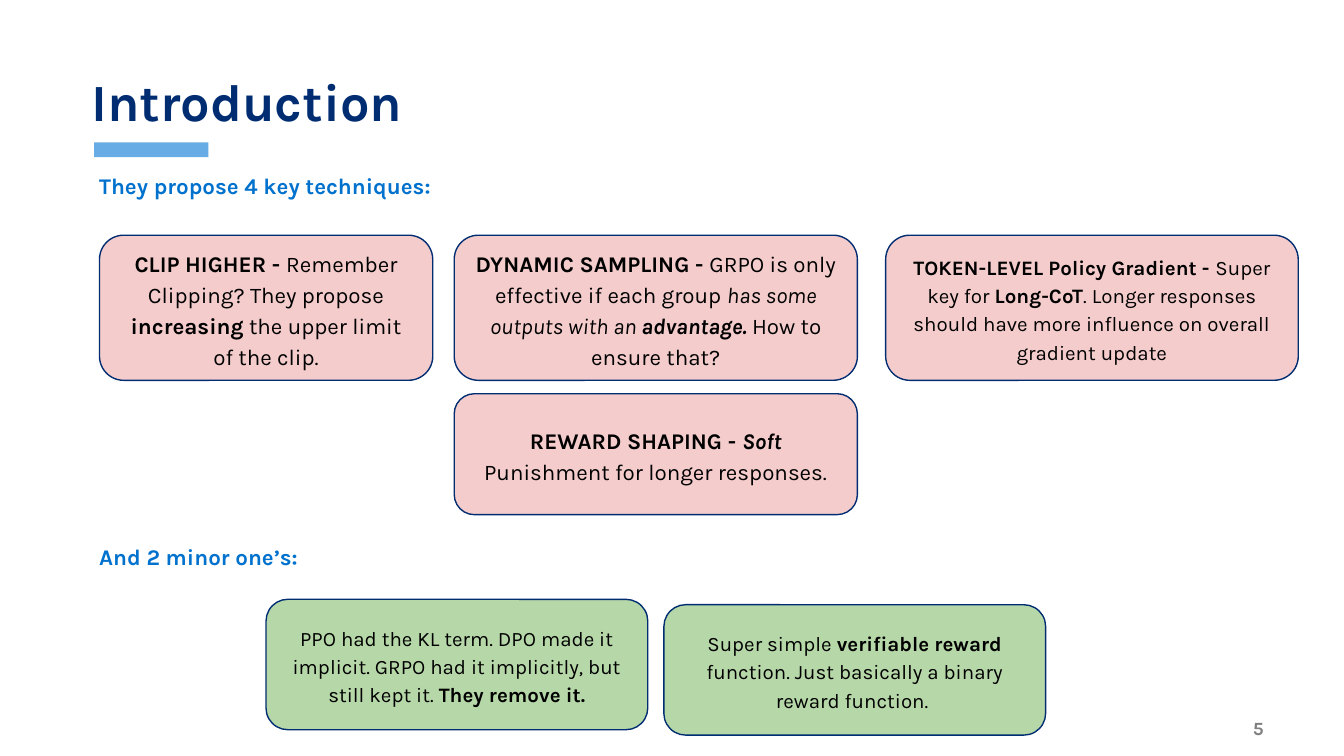
from dataclasses import dataclass

from pptx import Presentation
from pptx.dml.color import RGBColor
from pptx.enum.shapes import MSO_SHAPE
from pptx.enum.text import MSO_ANCHOR, PP_ALIGN
from pptx.util import Inches, Pt

RECTANGLE = MSO_SHAPE.RECTANGLE
ROUNDED = MSO_SHAPE.ROUNDED_RECTANGLE
TOP, MIDDLE = MSO_ANCHOR.TOP, MSO_ANCHOR.MIDDLE
LEFT, CENTER, RIGHT = PP_ALIGN.LEFT, PP_ALIGN.CENTER, PP_ALIGN.RIGHT


@dataclass(frozen=True)
class Theme:
    """Colours, font and type sizes of the deck."""

    font: str = "Karla"
    navy: str = "002D72"
    blue: str = "0072CE"
    sky: str = "68ACE5"
    gray: str = "7F7F7F"
    black: str = "000000"
    pink: str = "F4CCCC"
    green: str = "B6D7A8"
    title: int = 28
    body: int = 12
    compact: int = 11
    number: int = 10


THEME = Theme()

CLIP_HIGHER = [
    ("CLIP HIGHER - ", "b"),
    ("Remember Clipping? They propose ", ""),
    ("increasing", "b"),
    (" the upper limit of the clip.", ""),
]
DYNAMIC_SAMPLING = [
    ("DYNAMIC SAMPLING - ", "b"),
    ("GRPO is only effective if each group ", ""),
    ("has some outputs with an ", "i"),
    ("advantage. ", "bi"),
    ("How to ensure that?", ""),
]
TOKEN_LEVEL = [
    ("TOKEN-LEVEL Policy Gradient - ", "b"),
    ("Super key for ", ""),
    ("Long-CoT", "b"),
    (". Longer responses should have more influence on overall gradient update", ""),
]
REWARD_SHAPING = [
    ("REWARD SHAPING - ", "b"),
    ("Soft", "bi"),
    (" Punishment for longer responses.", ""),
]
KL_REMOVAL = [
    ("PPO had the KL term. DPO made it implicit. "
     "GRPO had it implicitly, but still kept it. ", ""),
    ("They remove it.", "b"),
]
VERIFIABLE_REWARD = [
    ("Super simple ", ""),
    ("verifiable reward", "b"),
    (" function. Just basically a binary reward function. ", ""),
]


def write(shape, runs, size, color, align=LEFT, anchor=MIDDLE, spacing=1.0, inset=0.05):
    """Write one paragraph of (text, style) runs, style holding b and i."""
    frame = shape.text_frame
    frame.word_wrap = True
    frame.vertical_anchor = anchor
    frame.margin_left = frame.margin_right = Inches(0.1)
    frame.margin_top = frame.margin_bottom = Inches(inset)
    paragraph = frame.paragraphs[0]
    paragraph.alignment = align
    paragraph.line_spacing = spacing
    for text, style in runs:
        run = paragraph.add_run()
        run.text = text
        run.font.name = THEME.font
        run.font.size = Pt(size)
        run.font.bold = "b" in style
        run.font.italic = "i" in style
        run.font.color.rgb = RGBColor.from_string(color)


def add_label(slide, box, text, size, color, **layout):
    """Place a bold line of text in the given box."""
    label = slide.shapes.add_textbox(*map(Inches, box))
    write(label, [(text, "b")], size, color, **layout)


def add_block(slide, kind, box, fill):
    """Place a filled shape without shadow or outline."""
    block = slide.shapes.add_shape(kind, *map(Inches, box))
    block.shadow.inherit = False
    block.fill.solid()
    block.fill.fore_color.rgb = RGBColor.from_string(fill)
    block.line.fill.background()
    return block


def add_card(slide, box, fill, runs, size):
    """Place a rounded, outlined card with centred text."""
    card = add_block(slide, ROUNDED, box, fill)
    card.line.color.rgb = RGBColor.from_string(THEME.navy)
    card.line.width = Pt(0.75)
    write(card, runs, size, THEME.black, CENTER, spacing=1.15, inset=0.1)


def add_header(slide, left, top, width):
    """Place the title with its accent bar below."""
    add_label(slide, (left, top, width, 0.56), "Introduction",
              THEME.title, THEME.navy, spacing=0.9)
    add_block(slide, RECTANGLE, (left + 0.12, top + 0.56, 0.85, 0.11), THEME.sky)


def add_key_techniques(slide, left, top, width):
    """Place the heading, a row of three cards and one under the middle card."""
    add_label(slide, (left, top, width, 0.35), "They propose 4 key techniques:",
              THEME.body, THEME.blue, anchor=TOP)
    row, middle = top + 0.52, left + 2.74
    cards = [
        ((left + 0.1, row, 2.48, 1.08), CLIP_HIGHER, THEME.body),
        ((middle, row, 3, 1.08), DYNAMIC_SAMPLING, THEME.body),
        ((left + 5.95, row, 3.07, 1.08), TOKEN_LEVEL, THEME.compact),
        ((middle, row + 1.18, 3, 0.9), REWARD_SHAPING, THEME.body),
    ]
    for box, runs, size in cards:
        add_card(slide, box, THEME.pink, runs, size)


def add_minor_techniques(slide, left, top, width):
    """Place the heading and two slightly stepped cards."""
    add_label(slide, (left, top, width, 0.35), "And 2 minor one’s:",
              THEME.body, THEME.blue, anchor=TOP)
    for index, runs in enumerate([KL_REMOVAL, VERIFIABLE_REWARD]):
        box = (left + 1.34 + index * 2.96, top + 0.47 + index * 0.04, 2.84, 0.97)
        add_card(slide, box, THEME.green, runs, THEME.compact)


def main():
    """Build the 16:9 slide and save it."""
    deck = Presentation()
    deck.slide_width = Inches(10)
    deck.slide_height = deck.slide_width * 9 // 16
    slide = deck.slides.add_slide(deck.slide_layouts[6])
    add_header(slide, 0.58, 0.5, 8.84)
    add_key_techniques(slide, 0.64, 1.23, 8.84)
    add_minor_techniques(slide, 0.64, 3.99, 8.84)
    add_label(slide, (8.63, 5.32, 0.87, 0.19), "5",
              THEME.number, THEME.gray, align=RIGHT)
    deck.save("out.pptx")


if __name__ == "__main__":
    main()
